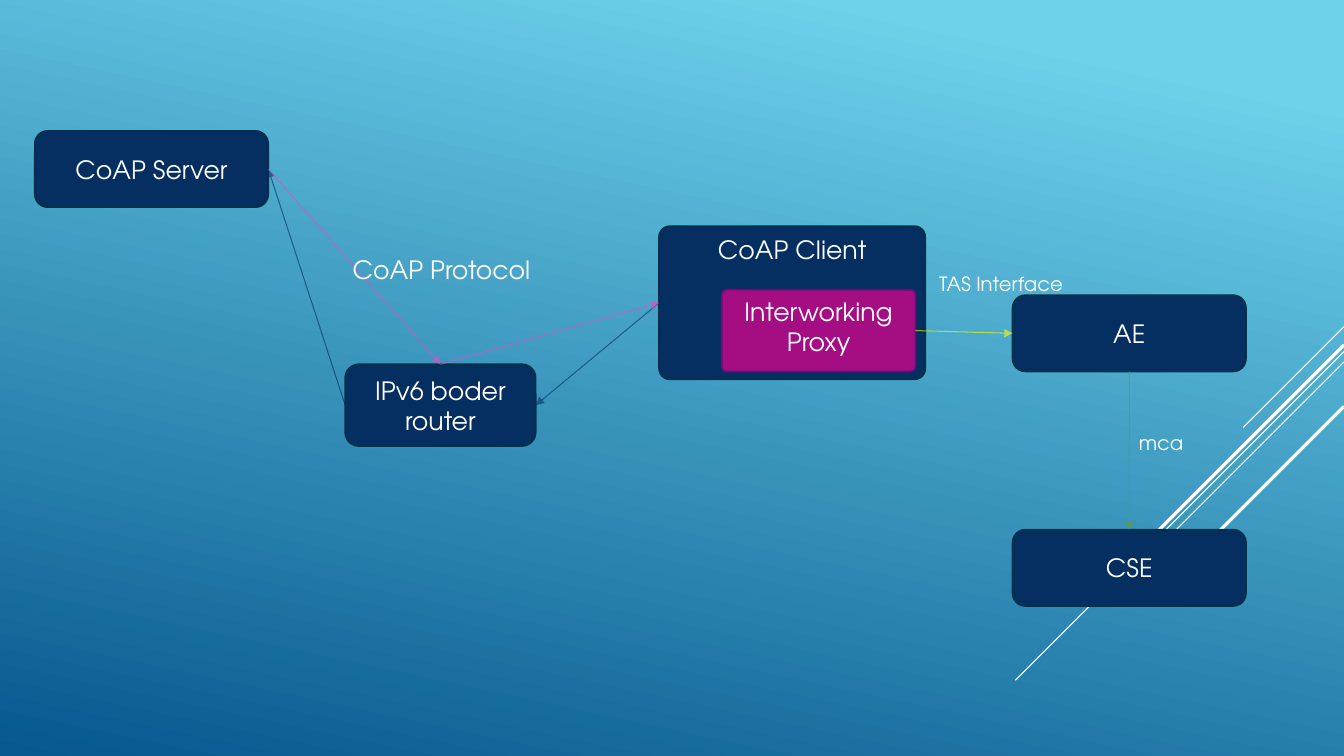
from lxml.etree import SubElement as Sub
from pptx import Presentation
from pptx.dml.color import RGBColor
from pptx.enum.shapes import MSO_CONNECTOR as Link, MSO_SHAPE as Form
from pptx.enum.text import MSO_ANCHOR as Anchor, MSO_AUTO_SIZE as Auto, PP_ALIGN as Align
from pptx.oxml.ns import qn
from pptx.util import Cm, Pt

WIDE, HIGH = 33.87, 19.05
WHITE, NAVY, EDGE = "FFFFFF", "052F61", "043148"
PINK, YELLOW, GREEN = "EF48C9", "FFFF00", "6A9E1F"
TOP, LEFT, BOTTOM, RIGHT = range(4)
FONT = {"name": "TeX Gyre Adventor", "bold": False}


def color(code):
    return RGBColor.from_string(code)


def apply(item, values):
    for key, value in values.items():
        setattr(item, key, value)


def write(shape, text, size, align, frame):
    apply(shape.text_frame, frame)
    para = shape.text_frame.paragraphs[0]
    para.alignment = align
    run = para.add_run()
    run.text = text
    apply(run.font, {**FONT, "size": Pt(size)})
    run.font.color.rgb = color(WHITE)


def add_box(slide, text, place, fill=NAVY, edge=EDGE, round=0.167, anchor=Anchor.MIDDLE):
    box = slide.shapes.add_shape(Form.ROUNDED_RECTANGLE, *map(Cm, place))
    box.shadow.inherit = False
    box.adjustments[0] = round
    box.fill.solid()
    box.fill.fore_color.rgb = color(fill)
    box.line.color.rgb = color(edge)
    box.line.width = Pt(1.25)
    write(box, text, 18, Align.CENTER, {"word_wrap": True, "vertical_anchor": anchor})
    return box


def add_label(slide, text, place, size, wrap):
    label = slide.shapes.add_textbox(*map(Cm, place))
    write(label, text, size, Align.LEFT,
          {"word_wrap": wrap, "auto_size": Auto.SHAPE_TO_FIT_TEXT})


def add_line(slide, ends, ink, width):
    line = slide.shapes.add_connector(Link.STRAIGHT, *map(Cm, ends))
    line.line.color.rgb = color(ink)
    line.line.width = Pt(width)
    Sub(line._element.spPr, qn("a:effectLst"))
    return line


def add_arrow(slide, start, out, end, into, ink):
    arrow = add_line(slide, (0, 0, 1, 1), ink, 0.75)
    arrow.begin_connect(start, out)
    arrow.end_connect(end, into)
    # Slightly clear stroke with a triangle head
    edge = arrow.line._get_or_add_ln()
    Sub(edge.find(".//" + qn("a:srgbClr")), qn("a:alpha"), val="60000")
    Sub(edge, qn("a:tailEnd"), type="triangle")


def paint(slide):
    fill = slide.background.fill
    fill.gradient()
    fill.gradient_angle = 360 - 102
    for stop, (spot, code) in zip(fill.gradient_stops, ((0.1, "6ED2EB"), (1, "06588E"))):
        stop.position = spot
        stop.color.rgb = color(code)


def main():
    deck = Presentation()
    apply(deck, {"slide_width": Cm(WIDE), "slide_height": Cm(HIGH)})
    slide = deck.slides.add_slide(deck.slide_layouts[6])
    paint(slide)

    # Diagonal stripes from the right edge: top, run, width
    for top, run, width in ((8.23, 2.54, 0.75), (8.86, 8.28, 0.75), (9.12, 5.26, 0.75),
                            (8.69, 4.85, 2.25), (10.24, 3.53, 2.25)):
        add_line(slide, (WIDE, top, WIDE - run, top + run), WHITE, width)

    # Nodes
    client = add_box(slide, "CoAP Client", (16.61, 5.7, 6.71, 3.86),
                     round=0.071, anchor=Anchor.TOP)
    proxy = add_box(slide, "Interworking Proxy", (18.19, 7.3, 4.88, 2.06),
                    "A50E82", "710A7A", 0.061, Anchor.TOP)
    size = 5.88, 1.92
    server = add_box(slide, "CoAP Server", (0.88, 3.3, *size))
    entity = add_box(slide, "AE", (25.52, 7.44, *size))
    common = add_box(slide, "CSE", (25.52, 13.35, *size))
    router = add_box(slide, "IPv6 boder router", (8.7, 9.18, 4.8, 2.06))

    # Message flow
    for flow in ((client, LEFT, router, RIGHT, NAVY),
                 (router, LEFT, server, RIGHT, NAVY),
                 (server, RIGHT, router, TOP, PINK),
                 (router, TOP, client, LEFT, PINK),
                 (proxy, RIGHT, entity, LEFT, YELLOW),
                 (entity, BOTTOM, common, TOP, GREEN)):
        add_arrow(slide, *flow)

    # Link labels
    add_label(slide, "mca", (28.45, 10.74, 1.65, 0.86), 14, False)
    add_label(slide, "TAS Interface", (23.42, 6.73, 3.68, 0.86), 14, False)
    add_label(slide, "CoAP Protocol", (8.64, 6.28, 5.51, 1.02), 18, True)

    deck.save("out.pptx")


if __name__ == "__main__":
    main()
